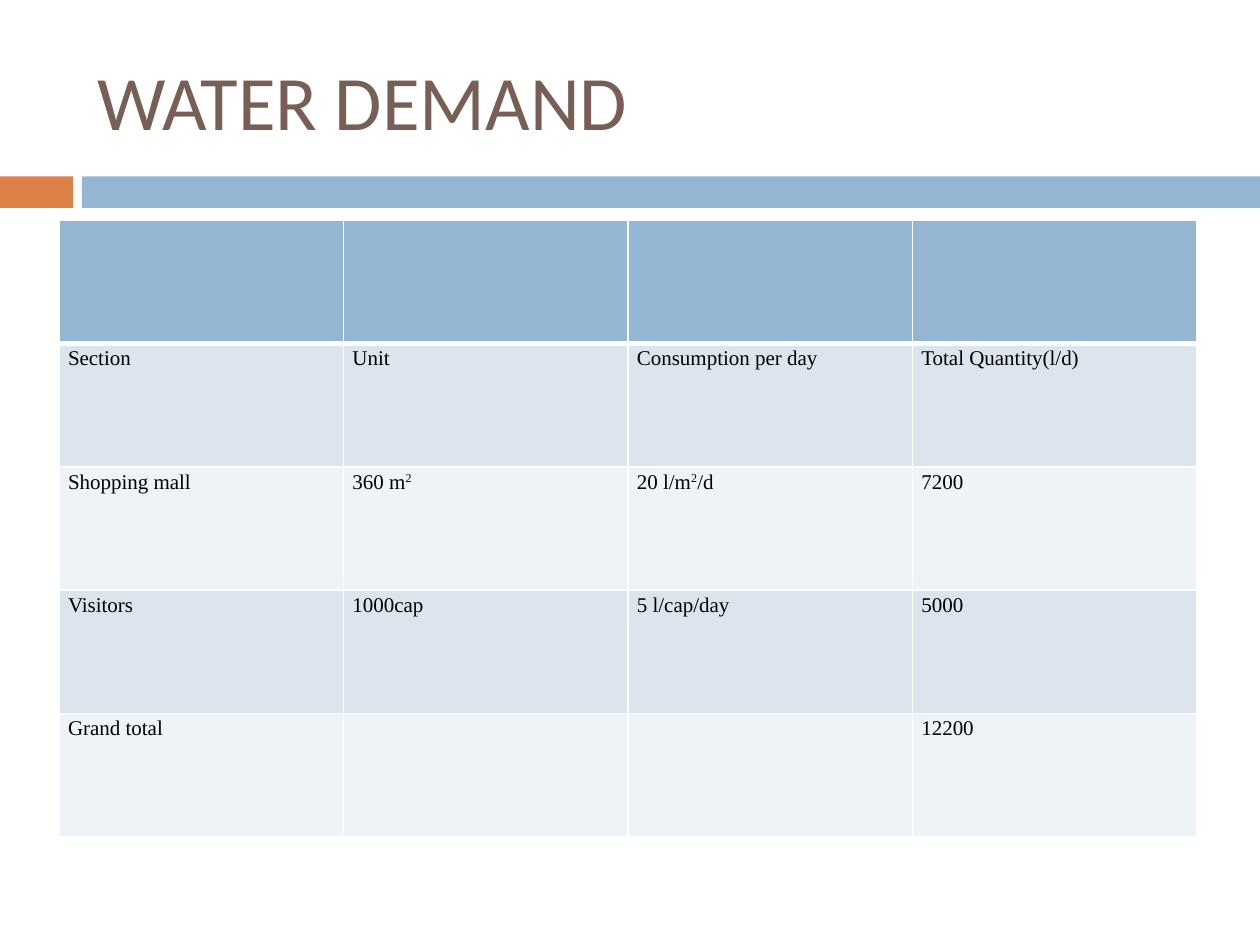
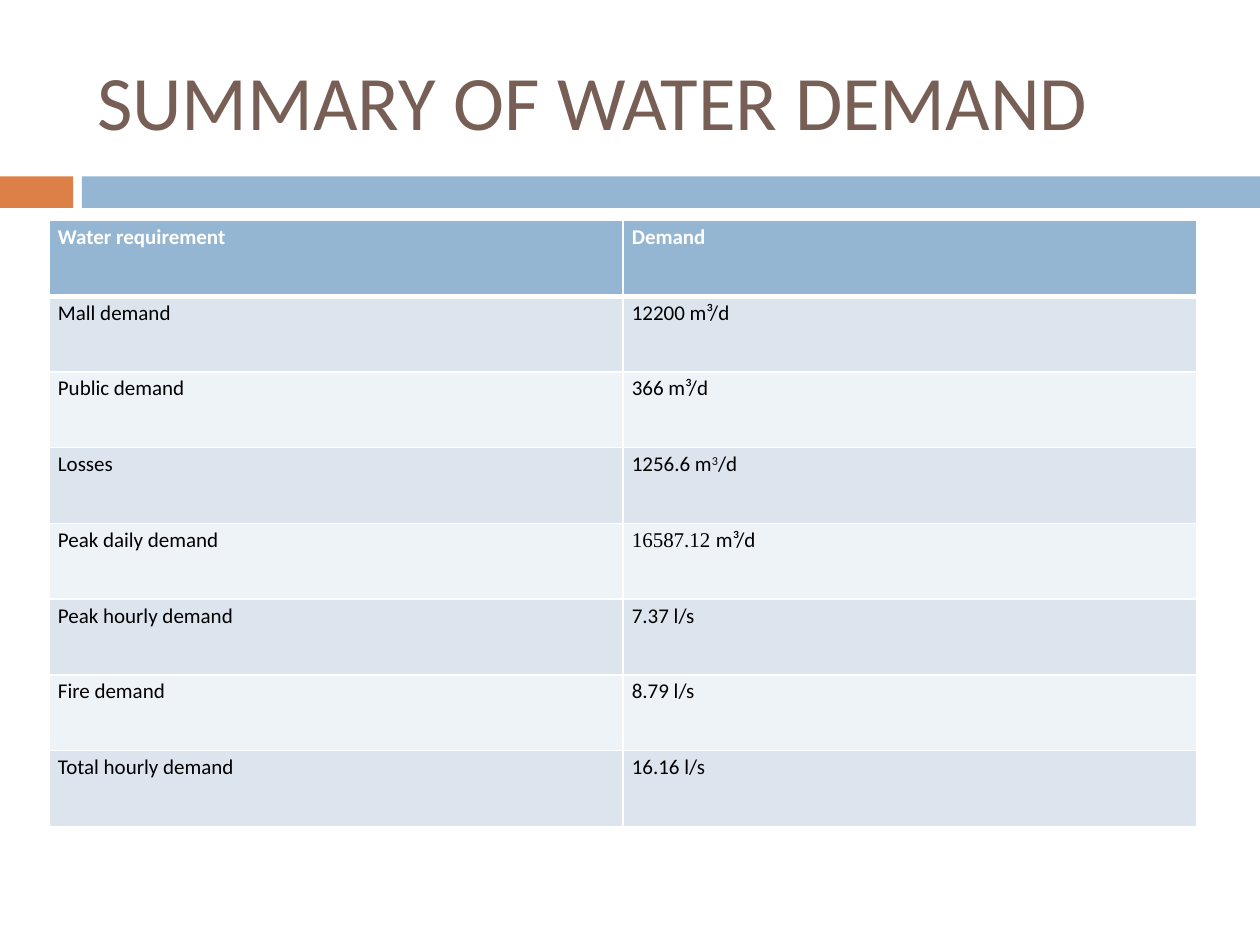
from collections import namedtuple

from lxml import etree
from pptx import Presentation
from pptx.dml.color import RGBColor
from pptx.enum import shapes, text
from pptx.oxml.ns import qn
from pptx.util import Inches, Pt

COLORS = {
    "orange": "DD8047",
    "blue": "94B6D2",
    "title": "775F55",
    "odd row": "DCE5EE",
    "even row": "EEF3F7",
    "white": "FFFFFF",
    "black": "000000",
}
SANS, SERIF = "Calibri", "Times New Roman"
TITLE_ONLY = 5

Box = namedtuple("Box", "left top width height")
Piece = namedtuple("Piece", "text font raised", defaults=(None, False))

TITLE_BOX = Box(0.67, 0.25, 8.92, 1.08)
BAND_BOX = Box(0, 1.4, 10, 0.25)

WATER_DEMAND = [
    ["", "", "", ""],
    ["Section", "Unit", "Consumption per day", "Total Quantity(l/d)"],
    ["Shopping mall", [Piece("360 m"), Piece("2", raised=True)],
     [Piece("20 l/m"), Piece("2", raised=True), Piece("/d")], "7200"],
    ["Visitors", "1000cap", "5 l/cap/day", "5000"],
    ["Grand total", "", "", "12200"],
]
DEMAND_SUMMARY = [
    ["Water requirement", "Demand"],
    ["Mall demand", "12200 m³/d"],
    ["Public demand", "366 m³/d"],
    ["Losses", [Piece("1256.6 m"), Piece("3", raised=True), Piece("/d")]],
    ["Peak daily demand", [Piece("16587.12 ", SERIF), Piece("m³/d")]],
    ["Peak hourly demand", "7.37 l/s"],
    ["Fire demand", "8.79 l/s"],
    ["Total hourly demand", "16.16 l/s"],
]


def rgb(name):
    return RGBColor.from_string(COLORS[name])


def style_font(font, face, size, color, bold=False):
    font.name, font.size, font.bold = face, Pt(size), bold
    font.color.rgb = rgb(color)


def add_title(slide, box, wording):
    title = slide.shapes.title
    title.left, title.top, title.width, title.height = map(Inches, box)
    frame = title.text_frame
    frame.text = wording
    frame.word_wrap = True
    frame.auto_size = text.MSO_AUTO_SIZE.NONE
    frame.vertical_anchor = text.MSO_ANCHOR.MIDDLE
    paragraph = frame.paragraphs[0]
    paragraph.alignment = text.PP_ALIGN.LEFT
    style_font(paragraph.runs[0].font, SANS, 44, "title")


def add_band(slide, box, accent_width=0.58, gap=0.07):
    """Draw a short orange block, a gap and a long blue bar across the box."""
    bar_start = accent_width + gap
    parts = [(0, accent_width, "orange"),
             (bar_start, box.width - bar_start, "blue")]
    for offset, width, color in parts:
        bar = slide.shapes.add_shape(
            shapes.MSO_SHAPE.RECTANGLE, Inches(box.left + offset),
            Inches(box.top), Inches(width), Inches(box.height))
        bar.shadow.inherit = False
        bar.fill.solid()
        bar.fill.fore_color.rgb = rgb(color)
        bar.line.fill.background()


def set_borders(cell, top, bottom):
    """Give the cell white borders; top and bottom are widths in points."""
    properties = cell._tc.get_or_add_tcPr()
    sides = {"lnL": 1, "lnR": 1, "lnT": top, "lnB": bottom}
    for position, (side, width) in enumerate(sides.items()):
        line = etree.Element(qn(f"a:{side}"), w=str(Pt(width)))
        fill = etree.SubElement(line, qn("a:solidFill"))
        etree.SubElement(fill, qn("a:srgbClr"), val=COLORS["white"])
        properties.insert(position, line)


def fill_cell(cell, content, face, header):
    cell.margin_left = cell.margin_right = Inches(0.07)
    cell.margin_top = cell.margin_bottom = 0
    paragraph = cell.text_frame.paragraphs[0]
    paragraph.alignment = text.PP_ALIGN.JUSTIFY
    paragraph.line_spacing = 1.15
    pieces = [Piece(content)] if isinstance(content, str) else content
    for piece in pieces:
        if not piece.text:
            continue
        run = paragraph.add_run()
        run.text = piece.text
        style_font(run.font, piece.font or face, 12,
                   "white" if header else "black", bold=header)
        if piece.raised:
            run._r.get_or_add_rPr().set("baseline", "30000")


def add_demand_table(slide, box, rows, face):
    table = slide.shapes.add_table(
        len(rows), len(rows[0]), *map(Inches, box)).table
    for column in table.columns:
        column.width = Inches(box.width / len(rows[0]))
    for row in table.rows:
        row.height = Inches(box.height / len(rows))
    for r, contents in enumerate(rows):
        row_color = "blue" if r == 0 else "odd row" if r % 2 else "even row"
        for c, content in enumerate(contents):
            cell = table.cell(r, c)
            fill_cell(cell, content, face, header=r == 0)
            cell.fill.solid()
            cell.fill.fore_color.rgb = rgb(row_color)
            set_borders(cell, top=3 if r == 1 else 1, bottom=3 if r == 0 else 1)


def add_table_slide(deck, title, box, rows, face):
    slide = deck.slides.add_slide(deck.slide_layouts[TITLE_ONLY])
    add_band(slide, BAND_BOX)
    add_title(slide, TITLE_BOX, title)
    add_demand_table(slide, box, rows, face)


def main():
    deck = Presentation()
    deck.slide_width, deck.slide_height = Inches(10), Inches(7.5)
    add_table_slide(deck, "WATER DEMAND", Box(0.47, 1.75, 9.03, 4.89),
                    WATER_DEMAND, SERIF)
    add_table_slide(deck, "SUMMARY OF WATER DEMAND", Box(0.39, 1.75, 9.11, 4.81),
                    DEMAND_SUMMARY, SANS)
    deck.save("out.pptx")


if __name__ == "__main__":
    main()
